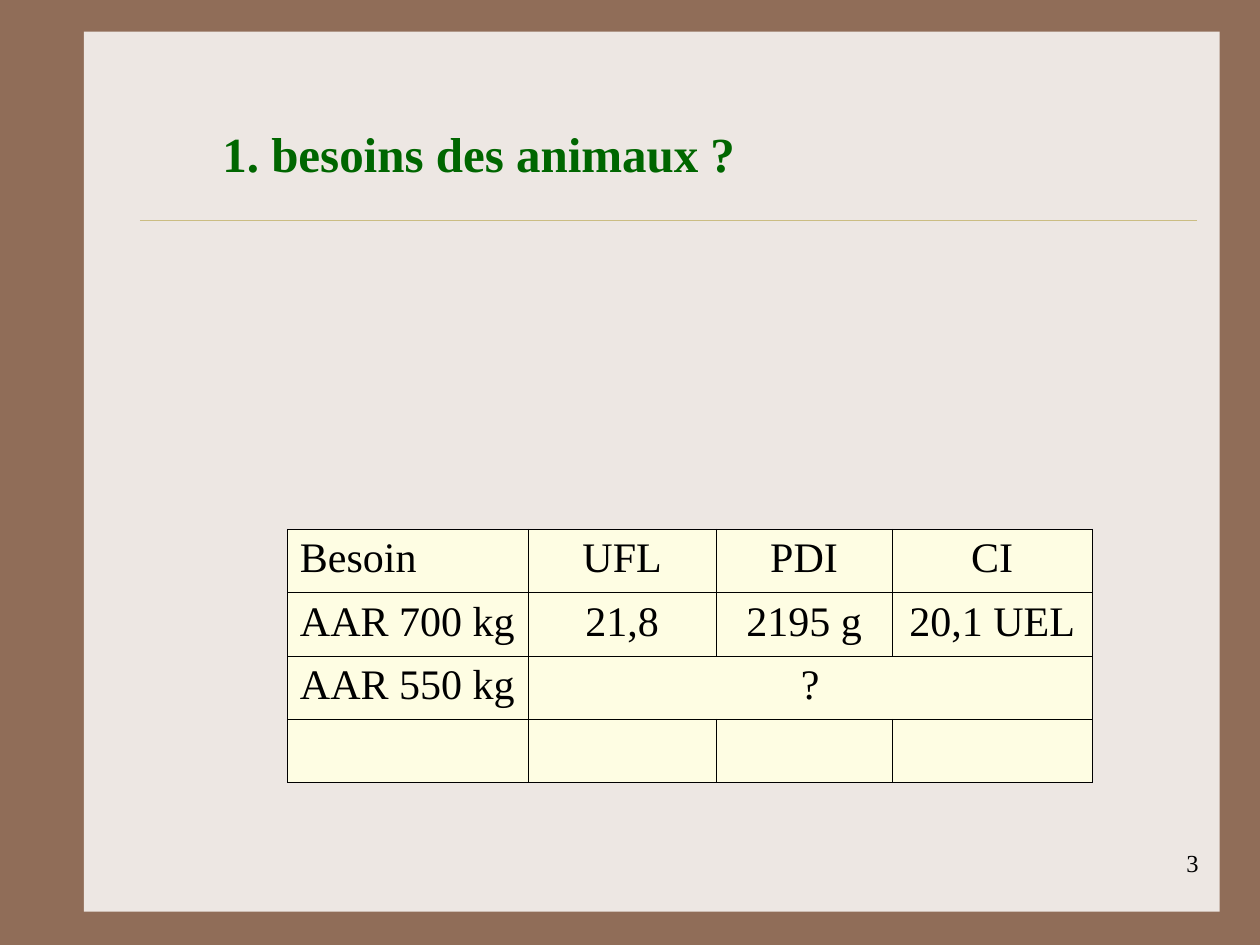
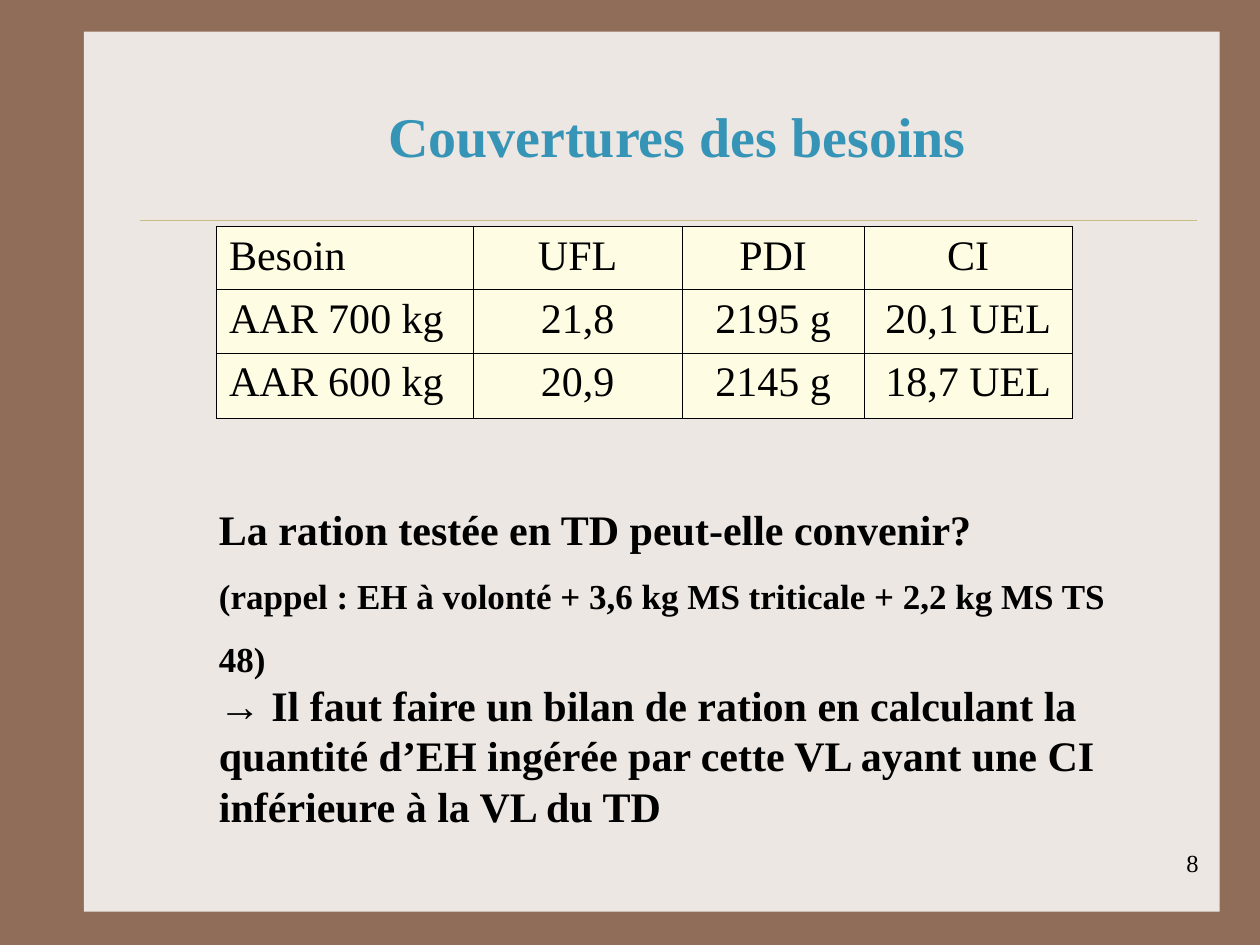
from lxml import etree
from pptx import Presentation
from pptx.dml.color import RGBColor
from pptx.enum.shapes import MSO_CONNECTOR, MSO_SHAPE
from pptx.enum.text import MSO_ANCHOR, PP_ALIGN
from pptx.oxml.ns import qn
from pptx.util import Pt

RECTANGLE = MSO_SHAPE.RECTANGLE
STRAIGHT = MSO_CONNECTOR.STRAIGHT
TOP, BOTTOM = MSO_ANCHOR.TOP, MSO_ANCHOR.BOTTOM
LEFT, CENTER, RIGHT = PP_ALIGN.LEFT, PP_ALIGN.CENTER, PP_ALIGN.RIGHT
JUSTIFY = PP_ALIGN.JUSTIFY

SERIF, SANS = "Times New Roman", "Arial"
BLACK, BROWN, PAPER, GOLD = "000000", "906D58", "EDE7E3", "CBBD83"
CREAM, GREEN, BLUE = "FEFDE3", "006600", "3694B6"
BORDER_WIDTH = 0.45


def colour(hex_code):
    return RGBColor.from_string(hex_code)


class Deck:
    def __init__(self):
        self.presentation = Presentation()
        self.presentation.slide_width = Pt(720)
        self.presentation.slide_height = Pt(540)
        self.slide = None

    def start_slide(self, number):
        layout = self.presentation.slide_layouts[6]
        self.slide = self.presentation.slides.add_slide(layout)
        background = self.slide.background.fill
        background.solid()
        background.fore_color.rgb = colour(BROWN)
        self.panel(48, 18, 649, 503)
        self.rule(80, 684, 126)
        self.text(542, 481, 150, 36, [([(str(number), 14, SERIF)], 1)],
                  align=RIGHT)

    def panel(self, left, top, width, height):
        panel = self.slide.shapes.add_shape(
            RECTANGLE, Pt(left), Pt(top), Pt(width), Pt(height))
        panel.shadow.inherit = False
        panel.fill.solid()
        panel.fill.fore_color.rgb = colour(PAPER)
        panel.line.fill.background()

    def rule(self, start, end, y):
        rule = self.slide.shapes.add_connector(
            STRAIGHT, Pt(start), Pt(y), Pt(end), Pt(y))
        rule.line.color.rgb = colour(GOLD)
        rule.line.width = Pt(0.25)
        etree.SubElement(rule._element.spPr, qn("a:effectLst"))

    def add_runs(self, paragraph, runs, align, ink=BLACK, bold=False):
        paragraph.alignment = align
        for words, size, typeface in runs:
            run = paragraph.add_run()
            run.text = words
            run.font.size = Pt(size)
            run.font.name = typeface
            run.font.bold = bold
            run.font.color.rgb = colour(ink)

    def text(self, left, top, width, height, paragraphs, align=LEFT,
             ink=BLACK, bold=False, anchor=TOP):
        box = self.slide.shapes.add_textbox(
            Pt(left), Pt(top), Pt(width), Pt(height))
        frame = box.text_frame
        frame.word_wrap = True
        frame.vertical_anchor = anchor
        for index, (runs, spacing) in enumerate(paragraphs):
            paragraph = frame.add_paragraph() if index else frame.paragraphs[0]
            paragraph.line_spacing = spacing
            self.add_runs(paragraph, runs, align, ink, bold)

    def title(self, left, top, width, height, words, size, ink, align=LEFT):
        self.text(left, top, width, height, [([(words, size, SERIF)], 1)],
                  align, ink, bold=True, anchor=BOTTOM)

    def border(self, cell):
        properties = cell._tc.get_or_add_tcPr()
        for position, side in enumerate(("a:lnL", "a:lnR", "a:lnT", "a:lnB")):
            edge = etree.Element(qn(side), w=str(Pt(BORDER_WIDTH)))
            fill = etree.SubElement(edge, qn("a:solidFill"))
            etree.SubElement(fill, qn("a:srgbClr"), val=BLACK)
            properties.insert(position, edge)

    def needs_table(self, left, top, widths, heights, rows):
        table = self.slide.shapes.add_table(
            len(rows), len(widths), Pt(left), Pt(top),
            Pt(sum(widths)), Pt(sum(heights))).table
        for column, width in zip(table.columns, widths):
            column.width = Pt(width)
        for row, height in zip(table.rows, heights):
            row.height = Pt(height)
        for r, values in enumerate(rows):
            for c in range(len(widths)):
                cell = table.cell(r, c)
                cell.fill.solid()
                cell.fill.fore_color.rgb = colour(CREAM)
                self.border(cell)
                if c < len(values):
                    self.add_runs(cell.text_frame.paragraphs[0],
                                  [(values[c], 24, SERIF)],
                                  CENTER if c else JUSTIFY)
            if len(values) == 2:
                table.cell(r, 1).merge(table.cell(r, len(widths) - 1))


def main():
    deck = Deck()
    shared_rows = [("Besoin", "UFL", "PDI", "CI"),
                   ("AAR 700 kg", "21,8", "2195 g", "20,1 UEL")]

    deck.start_slide(3)
    deck.title(120, 66.5, 552, 41, "1. besoins des animaux ?", 28, GREEN)
    deck.needs_table(164.2, 302.4, (137.6, 107.4, 100.6, 114.4), (36.2,) * 4,
                     shared_rows + [("AAR 550 kg", "?"), ()])

    deck.start_slide(8)
    deck.title(90, 54, 594, 46, "Couvertures des besoins", 32, BLUE, CENTER)
    deck.needs_table(123.7, 129.4, (146.8, 119.2, 104.2, 118.8),
                     (36.2, 36.2, 37.3),
                     shared_rows + [("AAR 600 kg", "20,9", "2145 g", "18,7 UEL")])
    deck.text(118, 269.5, 552, 209, [
        ([("La ration testée en TD peut-elle convenir?", 24, SERIF)], 1.5),
        ([("(rappel : EH à volonté + 3,6 kg MS triticale + 2,2 kg MS TS 48)",
           20, SERIF)], 1.5),
        ([("→", 24, SANS),
          (" Il faut faire un bilan de ration en calculant la quantité d’EH "
           "ingérée par cette VL ayant une CI inférieure à la VL du TD",
           24, SERIF)], 1),
    ], bold=True)

    deck.presentation.save("out.pptx")


if __name__ == "__main__":
    main()
